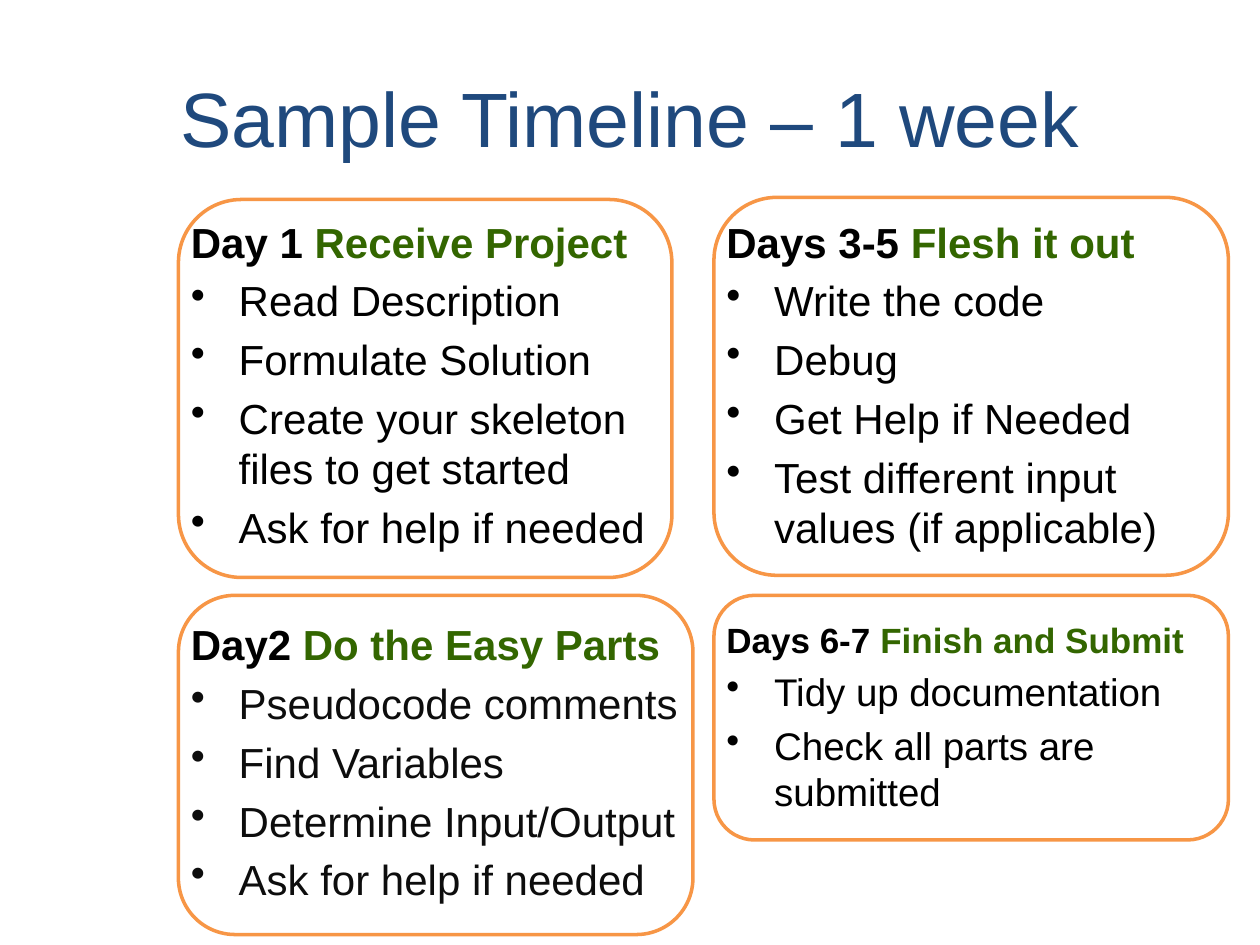
from lxml import etree
from pptx import Presentation, util as u
from pptx.dml.color import RGBColor as Rgb
from pptx.enum import shapes, text
from pptx.oxml.ns import qn

theme = dict(font="Arial", title=44, body=24, small=22, head=20, edge=2,
             blue="1F497D", green="336600", black="000000", ink="0D0D0D",
             orange="F79646")

deck = Presentation()
deck.slide_width, deck.slide_height = u.Inches(10), u.Inches(7.5)
slide = deck.slides.add_slide(deck.slide_layouts[5])
cell = deck.slide_width / 120


def grid(*spans):
    return [round(n * cell) for n in spans]


def style(font, size, color, bold=False):
    font.name, font.size, font.bold = theme["font"], u.Pt(theme[size]), bold
    font.color.rgb = Rgb.from_string(theme[color])


title = slide.shapes.title
title.left, title.top, title.width, title.height = grid(16, 3.6, 98, 15)
title.text_frame.text = "Sample Timeline – 1 week"
title.text_frame.vertical_anchor = text.MSO_ANCHOR.MIDDLE
para = title.text_frame.paragraphs[0]
para.alignment = text.PP_ALIGN.LEFT
style(para.font, "title", "blue")

columns = [
    (17, [
        ("Day 1 ", "Receive Project", "body", "body", "black",
         ["Read Description", "Formulate Solution",
          "Create your skeleton files to get started",
          "Ask for help if needed"]),
        ("Day2 ", "Do the Easy Parts", "body", "body", "ink",
         ["Pseudocode comments", "Find Variables",
          "Determine Input/Output", "Ask for help if needed"]),
    ]),
    (68, [
        ("Days 3-5 ", "Flesh it out", "body", "body", "black",
         ["Write the code", "Debug", "Get Help if Needed",
          "Test different input values (if applicable)"]),
        ("Days 6-7 ", "Finish and Submit", "head", "small", "black",
         ["Tidy up documentation", "Check all parts are submitted"]),
    ]),
]
for left, stages in columns:
    frame = slide.shapes.add_textbox(*grid(left, 20, 49, 60.4)).text_frame
    frame.word_wrap = True
    para = frame.paragraphs[0]
    for row, (days, goal, head, size, color, steps) in enumerate(stages):
        if row:
            para = frame.add_paragraph()
            para.space_before = u.Pt(38)
        for words, tint in ((days, "black"), (goal, "green")):
            run = para.add_run()
            run.text = words
            style(run.font, head, tint, True)
        for step in steps:
            para = frame.add_paragraph()
            para.text = step
            para.space_before = u.Pt(theme[size] * 0.2)
            style(para.font, size, color)
            props = para._p.get_or_add_pPr()
            props.set("marL", str(u.Inches(0.38)))
            props.set("indent", str(-u.Inches(0.38)))
            mark = etree.Element(qn("a:buChar"), char="•")
            props.find(qn("a:defRPr")).addprevious(mark)

for spans in ((17, 19, 47, 36), (68, 56.7, 49, 23.3),
              (68, 18.8, 49, 36), (17, 56.7, 49, 32.3)):
    box = slide.shapes.add_shape(shapes.MSO_SHAPE.ROUNDED_RECTANGLE, *grid(*spans))
    box.shadow.inherit = False
    box.fill.background()
    box.line.color.rgb = Rgb.from_string(theme["orange"])
    box.line.width = u.Pt(theme["edge"])

deck.save("out.pptx")
